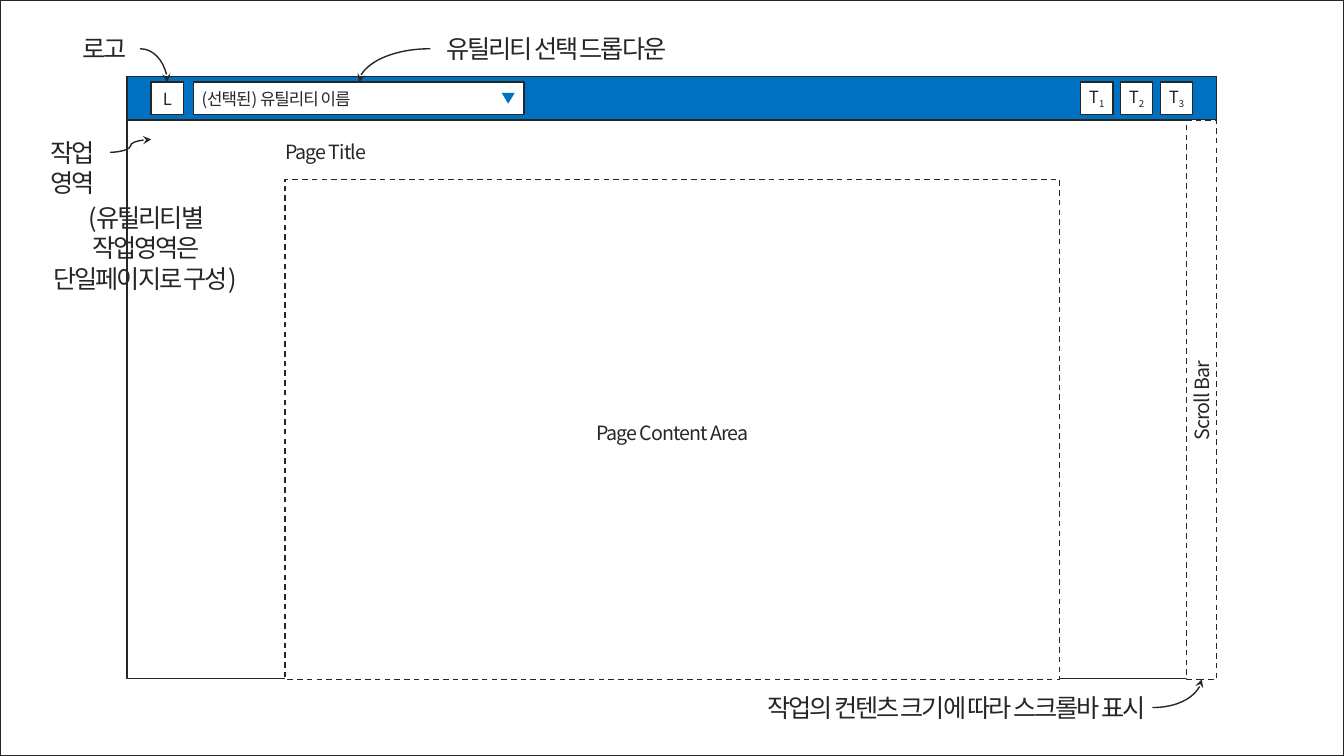
from lxml.etree import SubElement
from pptx import Presentation
from pptx.dml.color import RGBColor
from pptx.enum.dml import MSO_LINE
from pptx.enum.shapes import MSO_CONNECTOR as CONNECTOR, MSO_SHAPE as SHAPE
from pptx.enum.text import MSO_ANCHOR as ANCHOR, PP_ALIGN as ALIGN
from pptx.oxml.ns import qn
from pptx.util import Pt

COLORS = {"ink": "262626", "paper": "FFFFFF", "blue": "0070C0"}
FONT = "Noto Sans CJK KR"

deck = Presentation()
deck.slide_width, deck.slide_height = Pt(960), Pt(540)
slide = deck.slides.add_slide(deck.slide_layouts[6])
shapes = slide.shapes


def box(left, top, width, height, fill="paper", outlined=True, dashed=False, kind=SHAPE.RECTANGLE):
    shape = shapes.add_shape(kind, Pt(left), Pt(top), Pt(width), Pt(height))
    shape.shadow.inherit = False
    shape.fill.solid()
    shape.fill.fore_color.rgb = RGBColor.from_string(COLORS[fill])
    if outlined:
        shape.line.color.rgb = RGBColor.from_string(COLORS["ink"])
        shape.line.width = Pt(1)
    else:
        shape.line.fill.background()
    if dashed:
        shape.line.dash_style = MSO_LINE.DASH
    return shape


def write(shape, lines, size, spacing=0, align=ALIGN.CENTER, anchor=ANCHOR.MIDDLE,
          margins=(0, 0, 0, 0), subscript=""):
    frame = shape.text_frame
    left, top, right, bottom = map(Pt, margins)
    layout = {"word_wrap": True, "vertical_anchor": anchor, "margin_left": left,
              "margin_top": top, "margin_right": right, "margin_bottom": bottom}
    for name, value in layout.items():
        setattr(frame, name, value)
    for number, line in enumerate(lines):
        paragraph = frame.add_paragraph() if number else frame.paragraphs[0]
        paragraph.alignment = align
        for text in filter(None, (line, subscript)):
            run = paragraph.add_run()
            run.text = text
            run.font.size = Pt(size)
            run.font.color.rgb = RGBColor.from_string(COLORS["ink"])
            run.font.name = FONT
            properties = run.font._element
            SubElement(properties, qn("a:ea")).set("typeface", FONT)
            if spacing:
                properties.set("spc", str(round(spacing * 100)))
            if text == subscript:
                properties.set("baseline", "-25000")


# Slide border, page frame and top bar
FRAME_LEFT, FRAME_TOP, FRAME_WIDTH, FRAME_HEIGHT = 90.8, 54.8, 778.4, 430
BAR_HEIGHT = 31
FRAME_RIGHT, FRAME_BOTTOM = FRAME_LEFT + FRAME_WIDTH, FRAME_TOP + FRAME_HEIGHT
BAR_BOTTOM = FRAME_TOP + BAR_HEIGHT

box(0, 0, 960, 540)
page = box(FRAME_LEFT, FRAME_TOP, FRAME_WIDTH, FRAME_HEIGHT)
write(page, ["Page Title"], 14, -0.7, ALIGN.LEFT, ANCHOR.TOP, (113, 45.4, 113, 3.6))
box(FRAME_LEFT, FRAME_TOP, FRAME_WIDTH, BAR_HEIGHT, "blue")

# Logo, utility drop-down and tool buttons
BUTTON = 23.2
BUTTON_TOP = FRAME_TOP + (BAR_HEIGHT - BUTTON) / 2
write(box(108, BUTTON_TOP, BUTTON, BUTTON), ["L"], 12)
box(138.4, BUTTON_TOP, 236, BUTTON)
selected = box(144, 62.4, 136, 17, outlined=False)
write(selected, ["(선택된) 유틸리티 이름"], 12, -0.7, ALIGN.LEFT)
dropdown_mark = box(358.4, 66.4, 9.2, 7.6, "blue", outlined=False, kind=SHAPE.ISOSCELES_TRIANGLE)
dropdown_mark.rotation = 180
for tool in range(3):
    button = box(771.8 + 28.5 * tool, BUTTON_TOP, BUTTON, BUTTON)
    write(button, ["T"], 12, subscript=str(tool + 1))

# Content area and scroll bar
SCROLL_WIDTH = 21.6
AREA_MARGINS = (14.4, 8.6, 14.4, 3.6)
content = box(203.6, 128, 553, FRAME_BOTTOM - 128 + 0.4, dashed=True)
write(content, ["Page Content Area"], 14, -0.7, margins=AREA_MARGINS)
scroll = box(FRAME_RIGHT - SCROLL_WIDTH, BAR_BOTTOM, SCROLL_WIDTH,
             FRAME_BOTTOM - BAR_BOTTOM + 0.4, dashed=True)
write(scroll, ["Scroll Bar"], 14, -0.7, margins=AREA_MARGINS)
scroll.text_frame._txBody.bodyPr.set("vert", "vert270")

# Callout captions: left, top, width, lines
captions = [
    (49, 23.6, 51, ["로고"]),
    (307.4, 23.6, 180, ["유틸리티 선택 드롭다운"]),
    (25.2, 108.6, 53.4, ["작업", "영역"]),
    (25.2, 165.8, 157, ["(유틸리티별 작업영역은 단일페이지로 구성)"]),
    (537.2, 494.4, 292, ["작업의 컨텐츠 크기에 따라 스크롤바 표시"]),
]
for left, top, width, lines in captions:
    caption = shapes.add_textbox(Pt(left), Pt(top), Pt(width), Pt(22.4))
    write(caption, lines, 18, -1.5)

# Curved callout arrows: start, end, curve type
arrows = [
    ((100, 34.8), (119.6, BUTTON_TOP), "curvedConnector2"),
    ((307.4, 34.8), (256.4, BUTTON_TOP), "curvedConnector2"),
    ((78.6, 108.8), (108, 99.6), "curvedConnector3"),
    ((823.2, 505.4), (858.4, 485.2), "curvedConnector2"),
]
for start, end, curve in arrows:
    arrow = shapes.add_connector(CONNECTOR.CURVE, *map(Pt, start + end))
    arrow.line.color.rgb = RGBColor.from_string(COLORS["ink"])
    arrow.line.width = Pt(1)
    properties = arrow._element.spPr
    properties.find(qn("a:prstGeom")).set("prst", curve)
    SubElement(properties.find(qn("a:ln")), qn("a:tailEnd")).set("type", "stealth")
    SubElement(properties, qn("a:effectLst"))

deck.save("out.pptx")
